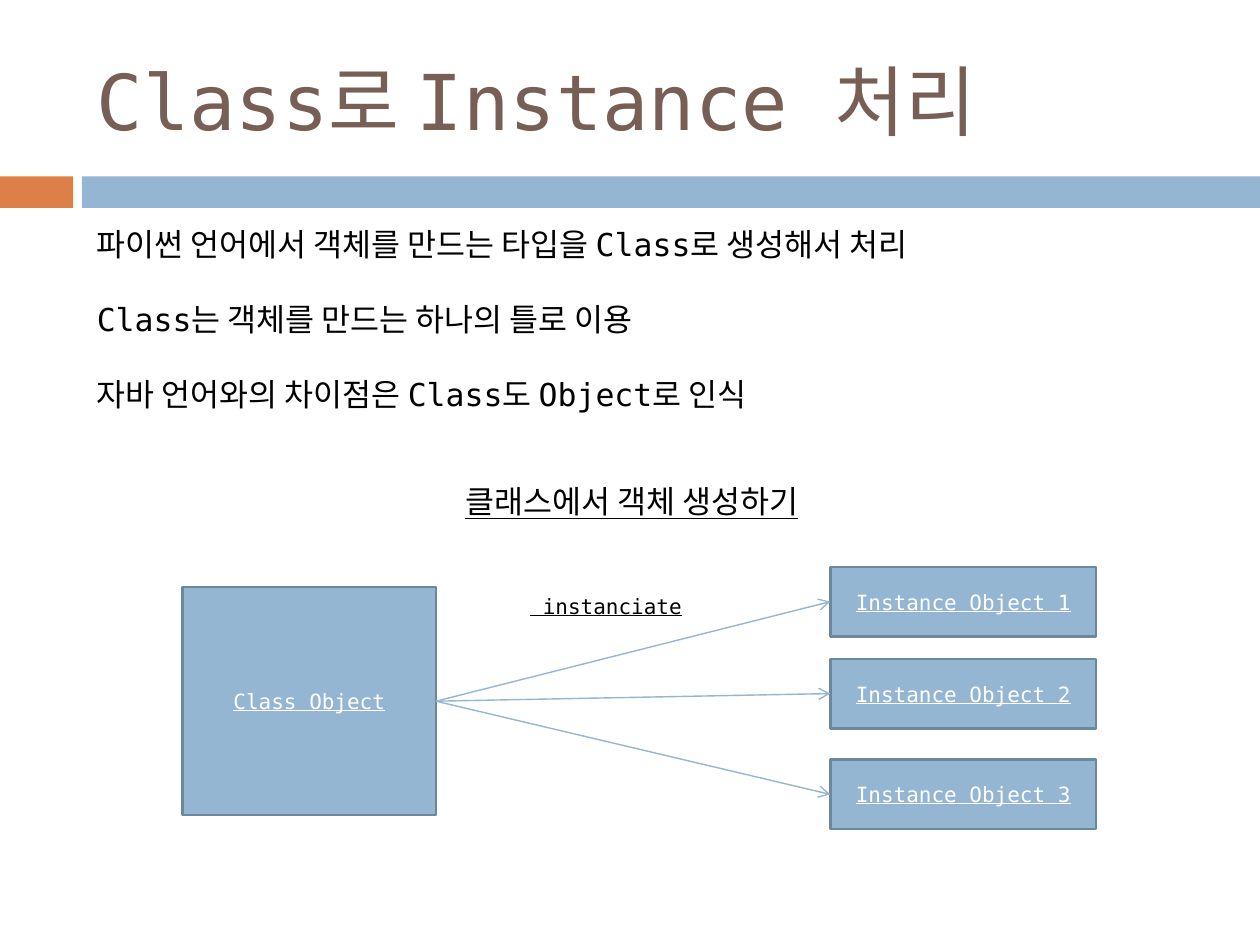
from lxml.etree import SubElement
from pptx import Presentation
from pptx.dml.color import RGBColor
from pptx.enum.shapes import MSO_CONNECTOR, MSO_SHAPE
from pptx.enum.text import MSO_ANCHOR, PP_ALIGN
from pptx.oxml.ns import qn
from pptx.util import Inches, Pt

BLUE = RGBColor(0x94, 0xB6, 0xD2)
EDGE = RGBColor(0x6D, 0x87, 0x9B)
ORANGE = RGBColor(0xDD, 0x80, 0x47)
BROWN = RGBColor(0x77, 0x5F, 0x55)
BLACK = RGBColor(0, 0, 0)
WHITE = RGBColor(0xFF, 0xFF, 0xFF)


class SlideBuilder:
    font = "DejaVu Sans Mono"

    def __init__(self, s):
        self.s = s

    def add_lines(self, tf, lines, size, color, align=PP_ALIGN.LEFT,
                  underline=False, gap=0):
        tf.word_wrap = True
        for i, line in enumerate(lines):
            p = tf.add_paragraph() if i else tf.paragraphs[0]
            p.alignment = align
            if i:
                p.space_before = Pt(gap)
            r = p.add_run()
            r.text = line
            r.font.name = self.font
            r.font.size = Pt(size)
            r.font.color.rgb = color
            if underline:
                r.font.underline = True

    def text(self, at, lines, size, color=BLACK, anchor=MSO_ANCHOR.TOP, **style):
        tf = self.s.shapes.add_textbox(*map(Inches, at)).text_frame
        tf.vertical_anchor = anchor
        self.add_lines(tf, lines, size, color, **style)

    def bar(self, at, fill):
        sp = self.s.shapes.add_shape(MSO_SHAPE.RECTANGLE, *map(Inches, at))
        sp.shadow.inherit = False
        sp.fill.solid()
        sp.fill.fore_color.rgb = fill
        sp.line.fill.background()
        return sp

    def box(self, at, label):
        sp = self.bar(at, BLUE)
        sp.line.color.rgb = EDGE
        sp.line.width = Pt(1.5)
        sp.text_frame.vertical_anchor = MSO_ANCHOR.MIDDLE
        self.add_lines(sp.text_frame, [label], 12, WHITE, PP_ALIGN.CENTER, True)
        return sp

    def arrow(self, start, end):
        c = self.s.shapes.add_connector(MSO_CONNECTOR.STRAIGHT, 0, 0, 0, 0)
        c.begin_connect(start, 3)
        c.end_connect(end, 1)
        c.line.color.rgb = BLUE
        c.line.width = Pt(0.79)
        props = c._element.spPr
        SubElement(props.find(qn("a:ln")), qn("a:tailEnd"), type="arrow")
        SubElement(props, qn("a:effectLst"))


def main():
    prs = Presentation()
    prs.slide_width, prs.slide_height = Inches(10), Inches(7.5)
    b = SlideBuilder(prs.slides.add_slide(prs.slide_layouts[6]))

    b.bar((0, 1.4, 0.58, 0.25), ORANGE)
    b.bar((0.65, 1.4, 9.35, 0.25), BLUE)
    b.text((0.67, 0.25, 8.92, 1.08), ["Class로 Instance 처리"], 44, BROWN,
           MSO_ANCHOR.MIDDLE)
    b.text((0.67, 1.74, 8.74, 2.22), [
        "파이썬 언어에서 객체를 만드는 타입을 Class로 생성해서 처리",
        "Class는 객체를 만드는 하나의 틀로 이용",
        "자바 언어와의 차이점은 Class도 Object로 인식",
    ], 18, gap=21)

    source = b.box((1.45, 4.66, 2.01, 1.81), "Class Object")
    instances = [b.box((6.59, top, 2.11, 0.55), f"Instance Object {n}")
                 for n, top in enumerate((4.5, 5.23, 6.03), 1)]
    for instance in instances:
        b.arrow(source, instance)

    centred = {"align": PP_ALIGN.CENTER, "underline": True}
    b.text((3.55, 4.66, 2.52, 0.3), [" instanciate"], 12, **centred)
    b.text((1.3, 3.78, 7.43, 0.4), ["클래스에서 객체 생성하기"], 18, **centred)
    prs.save("out.pptx")


if __name__ == "__main__":
    main()
